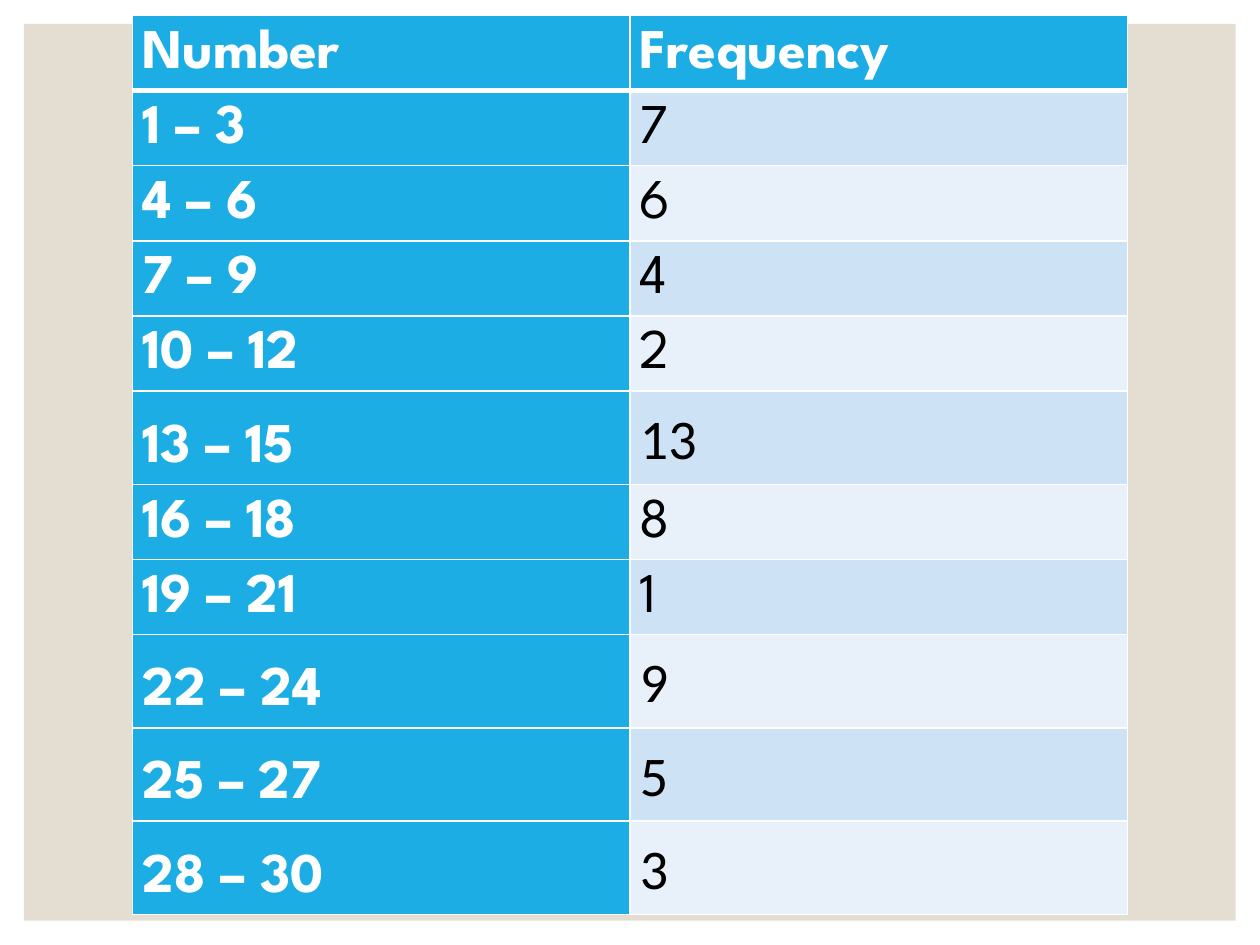
import dataclasses

import lxml.etree
import pptx
import pptx.dml.color
import pptx.enum.shapes
import pptx.enum.text
import pptx.oxml.ns
import pptx.util

Cm = pptx.util.Cm
Pt = pptx.util.Pt

COLORS = {
    "frame": "E3DED1",
    "accent": "1CADE4",
    "band_dark": "CDE3F5",
    "band_light": "E8F1FA",
    "white": "FFFFFF",
    "black": "000000",
}
HEADING_FONT = "League Spartan"
PLAIN_FONT = "Calibri"


@dataclasses.dataclass
class FrequencyRow:
    interval: str
    count: str
    count_font: str = HEADING_FONT

    @property
    def height(self) -> pptx.util.Length:
        return Cm(1.88) if self.count_font == PLAIN_FONT else Cm(1.5)


ROWS = [
    FrequencyRow("Number", "Frequency"),
    FrequencyRow("1 – 3", "7"),
    FrequencyRow("4 – 6", "6"),
    FrequencyRow("7 – 9", "4"),
    FrequencyRow("10 – 12", "2"),
    FrequencyRow("13 – 15", "13", PLAIN_FONT),
    FrequencyRow("16 – 18", "8"),
    FrequencyRow("19 – 21", "1"),
    FrequencyRow("22 – 24", "9", PLAIN_FONT),
    FrequencyRow("25 – 27", "5", PLAIN_FONT),
    FrequencyRow("28 – 30", "3", PLAIN_FONT),
]


def rgb(name: str) -> pptx.dml.color.RGBColor:
    return pptx.dml.color.RGBColor.from_string(COLORS[name])


def add_border(cell, side: str, points: float) -> None:
    qn = pptx.oxml.ns.qn
    properties = cell._tc.get_or_add_tcPr()
    line = lxml.etree.SubElement(properties, qn(f"a:ln{side}"), w=str(Pt(points)))
    fill = lxml.etree.SubElement(line, qn("a:solidFill"))
    lxml.etree.SubElement(fill, qn("a:srgbClr"), val=COLORS["white"])


def style_cell(cell, text: str, font_name: str, fill: str, strong: bool,
               top: float, bottom: float) -> None:
    cell.vertical_anchor = pptx.enum.text.MSO_ANCHOR.BOTTOM
    cell.margin_left = cell.margin_right = Cm(0.2)
    cell.margin_top = cell.margin_bottom = Cm(0.2)
    # Borders come before the fill in the cell properties
    for side, points in (("L", 1), ("R", 1), ("T", top), ("B", bottom)):
        add_border(cell, side, points)
    cell.fill.solid()
    cell.fill.fore_color.rgb = rgb(fill)

    cell.text_frame.text = text
    para = cell.text_frame.paragraphs[0]
    para.line_spacing = 1.07
    para.space_after = Pt(8)
    font = para.runs[0].font
    font.name = font_name
    font.size = Pt(32)
    font.bold = strong
    font.color.rgb = rgb("white" if strong else "black")


def add_frame(slide) -> None:
    frame = slide.shapes.add_shape(
        pptx.enum.shapes.MSO_SHAPE.RECTANGLE, Cm(0.48), Cm(0.48), Cm(24.43), Cm(18.08))
    frame.shadow.inherit = False
    frame.fill.solid()
    frame.fill.fore_color.rgb = rgb("frame")
    frame.line.fill.background()


def add_frequency_table(slide, rows: list[FrequencyRow]) -> None:
    column_width = Cm(10.03)
    table = slide.shapes.add_table(
        len(rows), 2, Cm(2.67), Cm(0.31), 2 * column_width,
        sum(row.height for row in rows)).table
    for column in table.columns:
        column.width = column_width
    for index, row in enumerate(rows):
        table.rows[index].height = row.height
        header = index == 0
        top = 3 if index == 1 else 1
        bottom = 3 if header else 1
        band = "band_dark" if index % 2 else "band_light"
        style_cell(table.cell(index, 0), row.interval, HEADING_FONT, "accent",
                   True, top, bottom)
        style_cell(table.cell(index, 1), row.count, row.count_font,
                   "accent" if header else band, header, top, bottom)


def main() -> None:
    deck = pptx.Presentation()
    deck.slide_width = Cm(25.4)
    deck.slide_height = Cm(19.05)
    page = deck.slides.add_slide(deck.slide_layouts[6])

    # Background panel, then the table over it
    add_frame(page)
    add_frequency_table(page, ROWS)
    deck.save("out.pptx")


if __name__ == "__main__":
    main()
